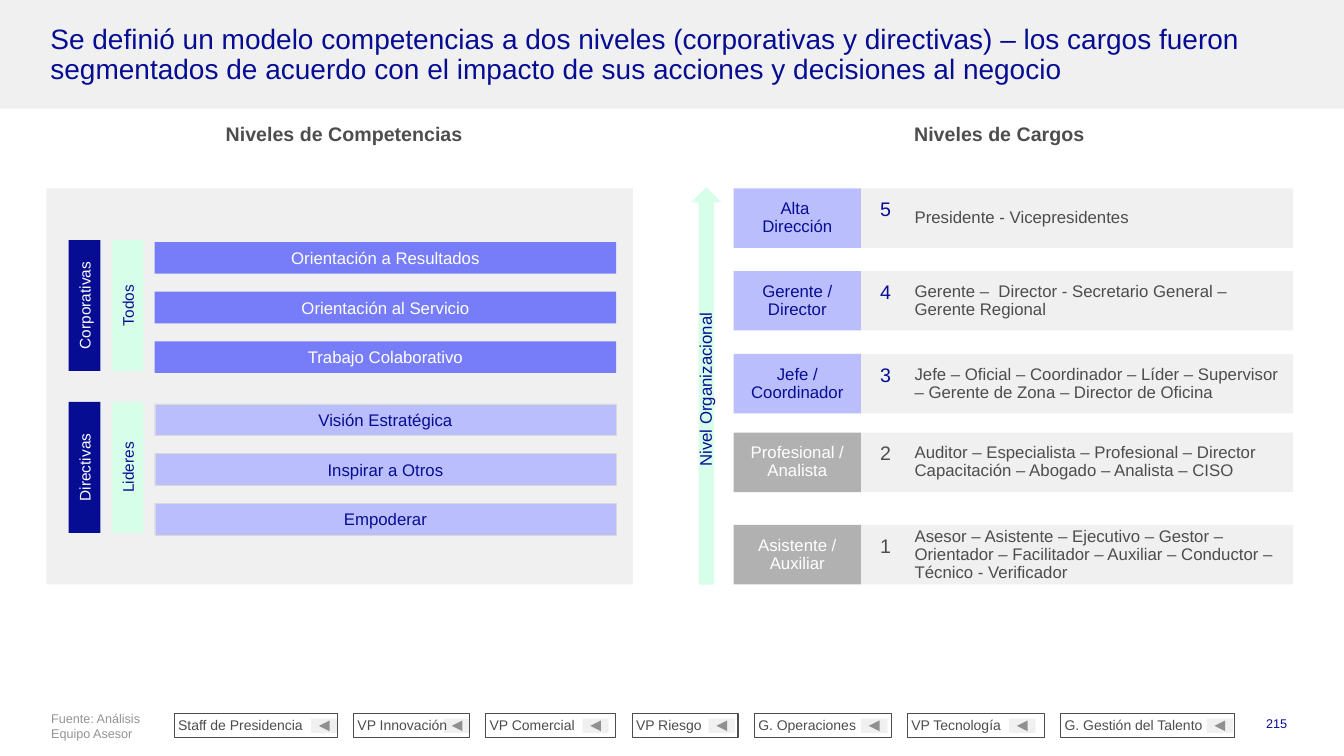
import pptx
import pptx.util
import pptx.dml.color
import pptx.enum.shapes
import pptx.enum.text
from pptx.util import Cm

SHAPE = pptx.enum.shapes.MSO_SHAPE
ALIGN = pptx.enum.text.PP_ALIGN
ANCHOR = pptx.enum.text.MSO_ANCHOR

COLORS = {
    "navy": "070D93", "violet": "777DF9", "lilac": "BBBEFC", "mint": "D6FEE9",
    "light": "F0F0F0", "silver": "B1B1B1", "edge": "D9D9D9",
    "text": "4D4D4D", "source": "949494", "white": "FFFFFF",
}
INSETS = (0.1, 0.13, 0.1, 0.13)

# heading, audience, top, bar fill, bar text colour, bar line, bars
COMPETENCIES = [
    ("Corporativas", "Todos", 6.05, "violet", "white", None,
     ["Orientación a Resultados", "Orientación al Servicio", "Trabajo Colaborativo"]),
    ("Directivas", "Lideres", 10.13, "lilac", "navy", "edge",
     ["Visión Estratégica", "Inspirar a Otros", "Empoderar"]),
]
# top, level, role, positions
ROLES = [
    (4.75, 5, "Alta \vDirección", "Presidente - Vicepresidentes"),
    (6.83, 4, "Gerente / Director",
     "Gerente –  Director - Secretario General – Gerente Regional"),
    (8.92, 3, "Jefe / Coordinador",
     "Jefe – Oficial – Coordinador – Líder – Supervisor – Gerente de Zona – "
     "Director de Oficina"),
    (10.9, 2, "Profesional / Analista",
     "Auditor – Especialista – Profesional – Director Capacitación – Abogado – "
     "Analista – CISO"),
    (13.23, 1, "Asistente / Auxiliar",
     "Asesor – Asistente – Ejecutivo – Gestor – Orientador – Facilitador – "
     "Auxiliar – Conductor – Técnico - Verificador"),
]
# label, box width, distance from the button's left to the box's right
LINKS = [
    ("Staff de Presidencia", 4.11, 0.66), ("VP Innovación", 2.92, 0.64),
    ("VP Comercial", 3.28, 0.84), ("VP Riesgo", 2.67, 0.74),
    ("G. Operaciones", 3.45, 0.76), ("VP Tecnología", 3.45, 0.89),
    ("G. Gestión del Talento", 4.39, 0.71),
]


def rgb(name):
    return pptx.dml.color.RGBColor.from_string(COLORS[name])


def write(sp, text, size, color, align=ALIGN.CENTER, anchor=ANCHOR.MIDDLE,
          insets=INSETS, spacing=0.9, bold=False, vertical=False):
    tf = sp.text_frame
    tf.text = text
    tf.word_wrap = True
    tf.vertical_anchor = anchor
    tf.margin_left, tf.margin_top, tf.margin_right, tf.margin_bottom = map(Cm, insets)
    if vertical:
        tf._txBody.bodyPr.set("vert", "vert270")
    p = tf.paragraphs[0]
    p.alignment = align
    p.line_spacing = spacing
    for r in p.runs:
        r.font.name = "Arial"
        r.font.size = pptx.util.Pt(size)
        r.font.bold = bold
        r.font.color.rgb = rgb(color)


def add_block(s, x, y, w, h, fill=None, line=None, line_width=0.75, kind=SHAPE.RECTANGLE):
    sp = s.shapes.add_shape(kind, Cm(x), Cm(y), Cm(w), Cm(h))
    sp.shadow.inherit = False
    if fill:
        sp.fill.solid()
        sp.fill.fore_color.rgb = rgb(fill)
    else:
        sp.fill.background()
    if line:
        sp.line.color.rgb = rgb(line)
        sp.line.width = pptx.util.Pt(line_width)
    else:
        sp.line.fill.background()
    return sp


def add_label(s, x, y, w, h, text, size, color, **style):
    sp = s.shapes.add_textbox(Cm(x), Cm(y), Cm(w), Cm(h))
    write(sp, text, size, color, anchor=ANCHOR.TOP, **style)


def add_competencies(s):
    add_block(s, 1.17, 4.75, 14.78, 9.98, "light")
    for heading, audience, top, fill, color, line, bars in COMPETENCIES:
        for x, text, tag_fill, tag_color in [(1.73, heading, "navy", "white"),
                                             (2.82, audience, "mint", "navy")]:
            tag = add_block(s, x, top, 0.8, 3.3, tag_fill)
            write(tag, text, 11, tag_color, spacing=1, vertical=True)
        for i, text in enumerate(bars):
            bar = add_block(s, 3.9, top + 0.05 + i * 1.25, 11.63, 0.8, fill, line, 0.25)
            write(bar, text, 12, color, spacing=1)


def add_roles(s):
    for top, level, role, positions in ROLES:
        senior = level > 2
        sp = add_block(s, 18.49, top, 3.21, 1.5, "lilac" if senior else "silver")
        write(sp, role, 12, "navy" if senior else "white")
        sp = add_block(s, 21.7, top, 10.89, 1.5, "light")
        write(sp, positions, 12, "text", ALIGN.LEFT, insets=(1.35, 0.13, 0.1, 0.13))
        sp = add_block(s, 22.05, top + 0.28, 0.54, 0.54, "light", kind=SHAPE.OVAL)
        write(sp, str(level), 14, "navy" if senior else "text", insets=(0, 0, 0, 0))
    arrow = add_block(s, 17.42, 4.72, 0.76, 10.01, "mint", kind=SHAPE.UP_ARROW)
    write(arrow, "Nivel Organizacional", 12, "navy", vertical=True)


def add_links(s):
    x = 4.39
    for text, width, reach in LINKS:
        button = add_block(s, x + width - reach, 18.11, 0.66, 0.36, "light",
                           kind=SHAPE.ACTION_BUTTON_FORWARD_OR_NEXT)
        button.rotation = 180
        box = add_block(s, x, 17.98, width, 0.61, line="text")
        write(box, text, 10, "text", ALIGN.LEFT, ANCHOR.TOP)
        x += width + 0.41


def main():
    prs = pptx.Presentation()
    prs.slide_width, prs.slide_height = Cm(33.87), Cm(19.05)
    s = prs.slides.add_slide(prs.slide_layouts[6])

    add_block(s, 0, 0, 33.87, 2.74, "light")
    add_label(s, 1.17, 0.51, 31.5, 1.75,
              "Se definió un modelo competencias a dos niveles (corporativas y directivas) – "
              "los cargos fueron segmentados de acuerdo con el impacto de sus acciones y "
              "decisiones al negocio", 20, "navy", align=ALIGN.LEFT)
    for x, text in [(1.17, "Niveles de Competencias"), (17.68, "Niveles de Cargos")]:
        add_label(s, x, 3, 15.01, 0.79, text, 14, "text", bold=True)

    add_competencies(s)
    add_roles(s)
    add_links(s)
    add_label(s, 1.19, 17.91, 27.99, 1.02, "Fuente: Análisis \vEquipo Asesor", 9, "source",
              align=ALIGN.LEFT, insets=(0.1, 0, 0.1, 0.1), spacing=1)
    add_label(s, 29.87, 17.91, 2.82, 1.02, "215", 9, "navy", align=ALIGN.RIGHT,
              insets=(0.25, 0.13, 0.25, 0.13), spacing=1)
    prs.save("out.pptx")


if __name__ == "__main__":
    main()
